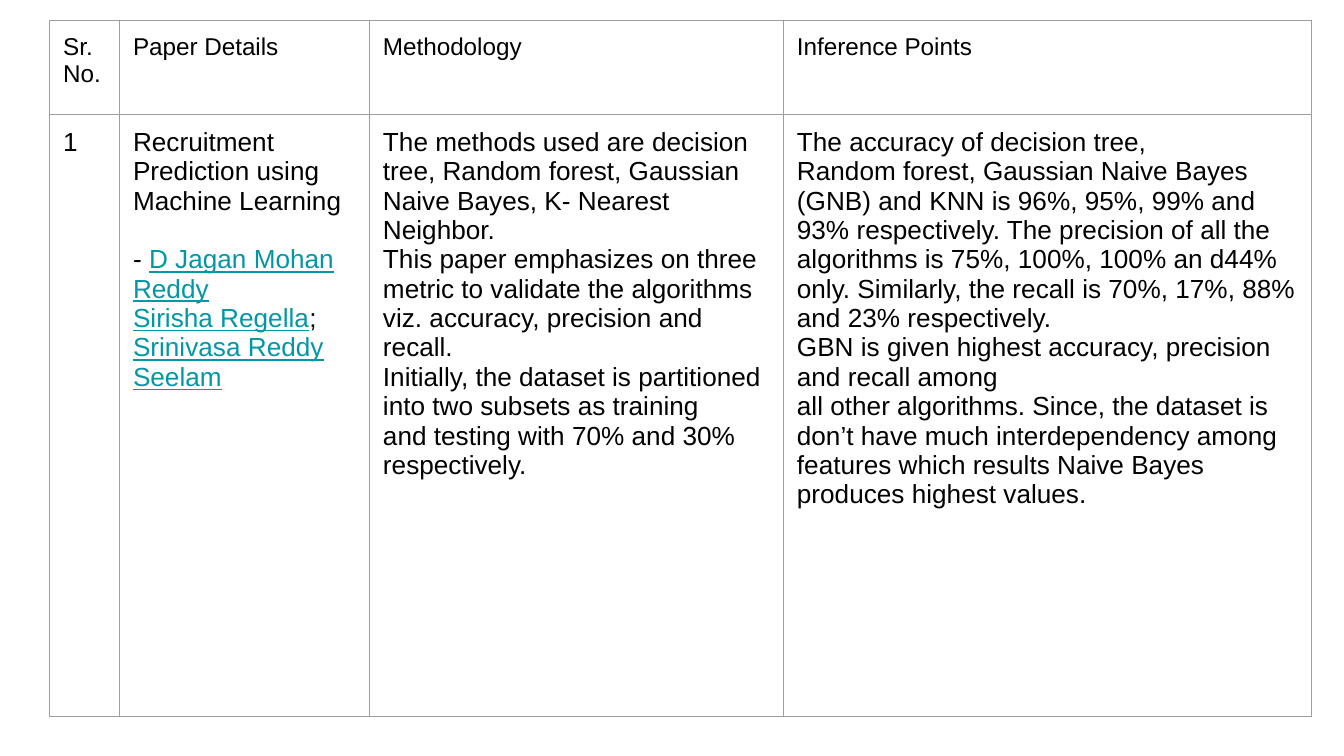
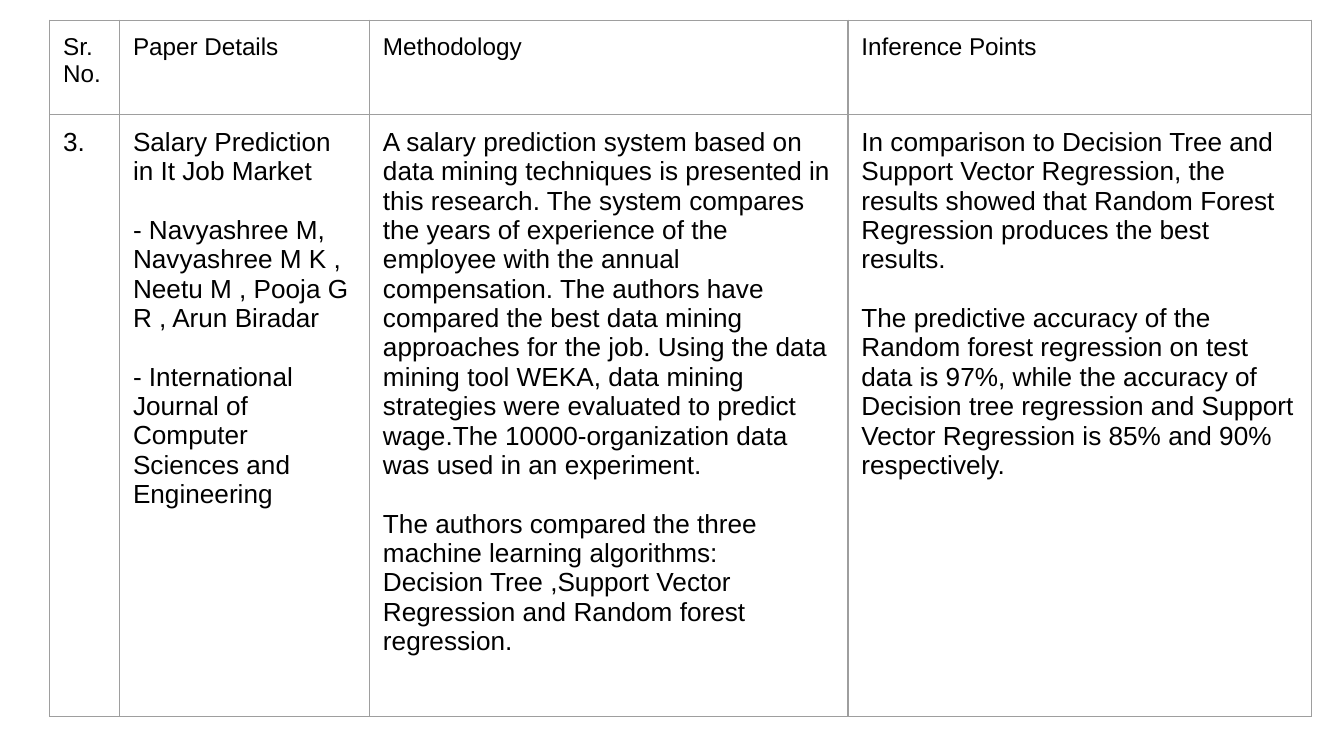
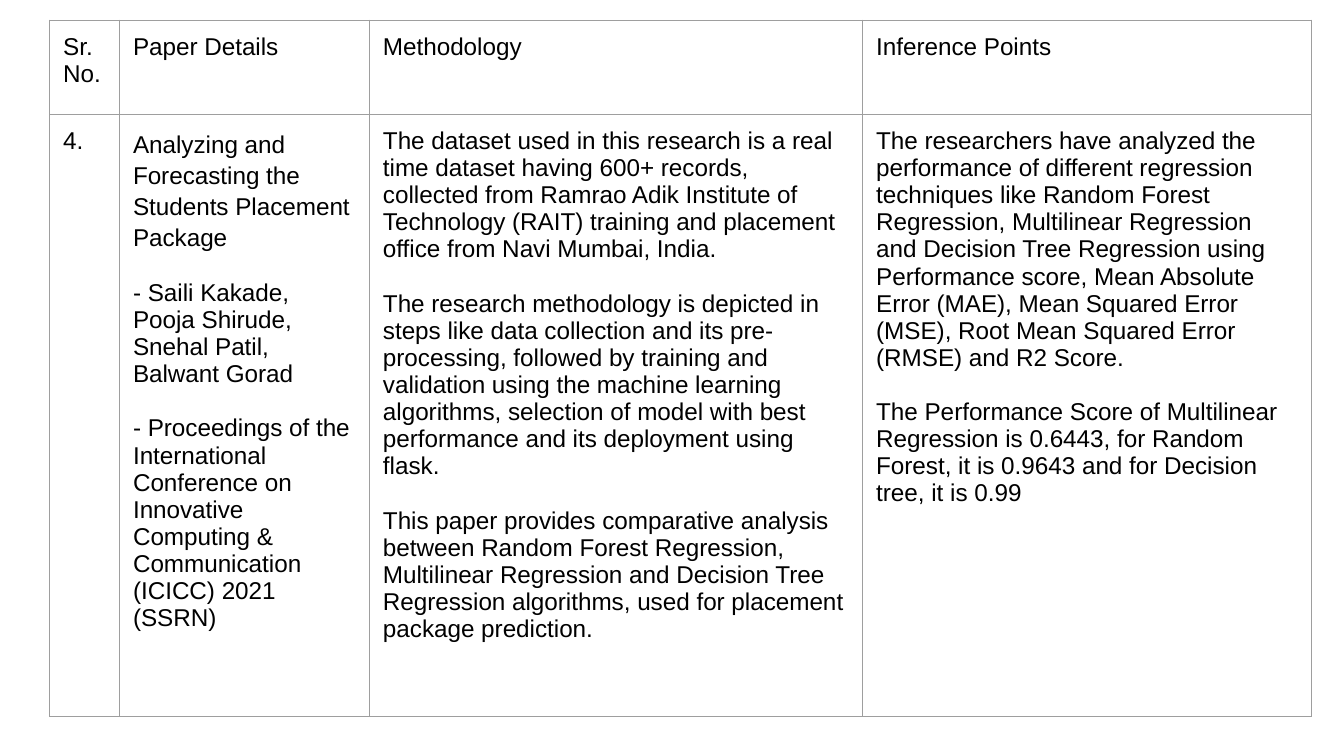
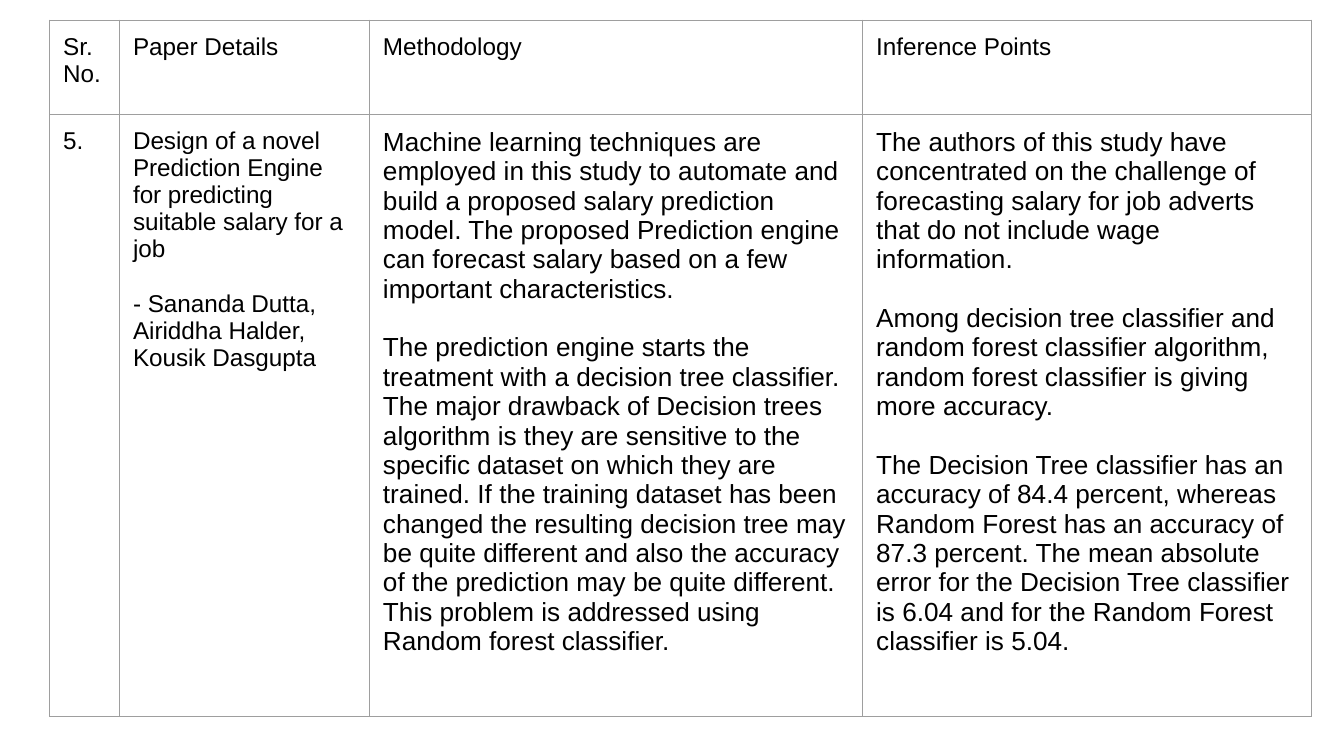
from dataclasses import dataclass

from lxml.etree import SubElement
from pptx import Presentation
from pptx.dml.color import RGBColor
from pptx.enum.text import MSO_ANCHOR
from pptx.oxml.ns import qn
from pptx.util import Inches, Pt

# Slide size, 16:9
SLIDE_WIDTH = Inches(10)
SLIDE_HEIGHT = SLIDE_WIDTH * 9 // 16

# Shared look
FONT = "Arial"
INK = RGBColor(0x00, 0x00, 0x00)
AUTHOR_TEAL = RGBColor(0x00, 0x97, 0xA7)
BORDER_GREY = RGBColor(0x9E, 0x9E, 0x9E)
BORDER_WIDTH = Pt(0.75)
BORDER_SIDES = ("a:lnL", "a:lnR", "a:lnT", "a:lnB")

# Shared table geometry
TABLE_LEFT, TABLE_TOP = Inches(0.37), Inches(0.15)
NUMBER_WIDTH, DETAILS_WIDTH = 0.52, 1.86
TEXT_WIDTH = 7.01  # methodology and inference columns together
ROW_HEIGHTS = (0.7, 4.48)
MARGIN = Inches(0.1)

HEADINGS = ("Sr. No.", "Paper Details", "Methodology", "Inference Points")
HEADING_SIZE = 13
BLANK_LINE = 1.12  # height of an empty line, as a multiple of the text size

CELL_FORMAT = {
    "margin_left": MARGIN,
    "margin_right": MARGIN,
    "margin_top": MARGIN,
    "margin_bottom": MARGIN,
    "vertical_anchor": MSO_ANCHOR.TOP,
}
TABLE_FORMAT = {"first_row": False, "horz_banding": False}


@dataclass(frozen=True)
class Run:
    text: str
    is_author: bool = False


@dataclass(frozen=True)
class Para:
    runs: tuple[Run, ...]
    gap: bool = False
    line_spacing: float | None = None


@dataclass(frozen=True)
class CellText:
    size: int
    paras: tuple[Para, ...]


@dataclass(frozen=True)
class Paper:
    methodology_width: float
    number: CellText
    details: CellText
    methodology: CellText
    inference: CellText


def line(text: str, line_spacing: float | None = None) -> Para:
    return Para((Run(text),), line_spacing=line_spacing)


def spaced(text: str) -> Para:
    """A paragraph set one line below the previous one."""
    return Para((Run(text),), gap=True)


def cell_text(size: int, *paras: Para) -> CellText:
    return CellText(size, paras)


# Surveyed papers
PAPERS = (
    Paper(
        3.08,
        cell_text(14, line("1")),
        cell_text(
            14,
            line("Recruitment Prediction using Machine Learning"),
            Para((Run("- "), Run("D Jagan Mohan Reddy", True)), gap=True),
            Para((Run("Sirisha Regella", True), Run("; "),
                  Run("Srinivasa Reddy Seelam", True))),
        ),
        cell_text(
            14,
            line("The methods used are decision tree, Random forest, Gaussian "
                 "Naive Bayes, K- Nearest Neighbor."),
            line("This paper emphasizes on three metric to validate the "
                 "algorithms viz. accuracy, precision and recall."),
            line("Initially, the dataset is partitioned into two subsets as training"),
            line("and testing with 70% and 30% respectively."),
        ),
        cell_text(
            14,
            line("The accuracy of decision tree,"),
            line("Random forest, Gaussian Naive Bayes (GNB) and KNN is 96%, 95%, "
                 "99% and 93% respectively. The precision of all the algorithms "
                 "is 75%, 100%, 100% an d44% only. Similarly, the recall is 70%, "
                 "17%, 88% and 23% respectively."),
            line("GBN is given highest accuracy, precision and recall among"),
            line("all other algorithms. Since, the dataset is don’t have much "
                 "interdependency among features which results Naive Bayes"),
            line("produces highest values."),
        ),
    ),
    Paper(
        3.56,
        cell_text(14, line("3.")),
        cell_text(
            14,
            line("Salary Prediction in It Job Market"),
            spaced("- Navyashree M, Navyashree M K , Neetu M , Pooja G R , Arun Biradar"),
            spaced("- International Journal of Computer Sciences and Engineering"),
        ),
        cell_text(
            14,
            line("A salary prediction system based on data mining techniques is "
                 "presented in this research. The system compares the years of "
                 "experience of the employee with the annual compensation. The "
                 "authors have compared the best data mining approaches for the "
                 "job. Using the data mining tool WEKA, data mining strategies "
                 "were evaluated to predict wage.The 10000-organization data was "
                 "used in an experiment."),
            spaced("The authors compared the three machine learning algorithms:"),
            line("Decision Tree ,Support Vector Regression and Random forest regression."),
        ),
        cell_text(
            14,
            line("In comparison to Decision Tree and Support Vector Regression, "
                 "the results showed that Random Forest Regression produces the "
                 "best results."),
            spaced("The predictive accuracy of the Random forest regression on "
                   "test data is 97%, while the accuracy of Decision tree "
                   "regression and Support Vector Regression is 85% and 90% "
                   "respectively."),
        ),
    ),
    Paper(
        3.67,
        cell_text(13, line("4.")),
        cell_text(
            13,
            line("Analyzing and Forecasting the Students Placement Package", 1.15),
            spaced("- Saili Kakade, Pooja Shirude, Snehal Patil, Balwant Gorad"),
            spaced("- Proceedings of the International Conference on Innovative "
                   "Computing & Communication (ICICC) 2021"),
            line("(SSRN)"),
        ),
        cell_text(
            13,
            line("The dataset used in this research is a real time dataset having "
                 "600+ records, collected from Ramrao Adik Institute of Technology "
                 "(RAIT) training and placement office from Navi Mumbai, India."),
            spaced("The research methodology is depicted in steps like data "
                   "collection and its pre-processing, followed by training and "
                   "validation using the machine learning algorithms, selection "
                   "of model with best performance and its deployment using flask."),
            spaced("This paper provides comparative analysis between Random Forest "
                   "Regression, Multilinear Regression and Decision Tree Regression "
                   "algorithms, used for placement package prediction."),
        ),
        cell_text(
            13,
            line("The researchers have analyzed the performance of different "
                 "regression techniques like Random Forest Regression, Multilinear "
                 "Regression and Decision Tree Regression using Performance score, "
                 "Mean Absolute Error (MAE), Mean Squared Error (MSE), Root Mean "
                 "Squared Error (RMSE) and R2 Score."),
            spaced("The Performance Score of Multilinear Regression is 0.6443, for "
                   "Random Forest, it is 0.9643 and for Decision tree, it is 0.99"),
        ),
    ),
    Paper(
        3.67,
        cell_text(13, line("5.")),
        cell_text(
            13,
            line("Design of a novel Prediction Engine for predicting suitable "
                 "salary for a job"),
            spaced("- Sananda Dutta, Airiddha Halder, Kousik Dasgupta"),
        ),
        cell_text(
            14,
            line("Machine learning techniques are employed in this study to "
                 "automate and build a proposed salary prediction model. The "
                 "proposed Prediction engine can forecast salary based on a few "
                 "important characteristics."),
            spaced("The prediction engine starts the treatment with a decision "
                   "tree classifier. The major drawback of Decision trees algorithm "
                   "is they are sensitive to the specific dataset on which they are "
                   "trained. If the training dataset has been changed the resulting "
                   "decision tree may be quite different and also the accuracy of "
                   "the prediction may be quite different. This problem is "
                   "addressed using Random forest classifier."),
        ),
        cell_text(
            14,
            line("The authors of this study have concentrated on the challenge of "
                 "forecasting salary for job adverts that do not include wage "
                 "information."),
            spaced("Among decision tree classifier and random forest classifier "
                   "algorithm, random forest classifier is giving more accuracy."),
            spaced("The Decision Tree classifier has an accuracy of 84.4 percent, "
                   "whereas Random Forest has an accuracy of 87.3 percent. The mean "
                   "absolute error for the Decision Tree classifier is 6.04 and for "
                   "the Random Forest classifier is 5.04."),
        ),
    ),
)


def apply_format(target, values: dict) -> None:
    for attribute, value in values.items():
        setattr(target, attribute, value)


def add_borders(cell) -> None:
    properties = cell._tc.get_or_add_tcPr()
    for side in BORDER_SIDES:
        border = SubElement(properties, qn(side), w=str(int(BORDER_WIDTH)))
        fill = SubElement(border, qn("a:solidFill"))
        SubElement(fill, qn("a:srgbClr"), val=str(BORDER_GREY))


def write_cell(cell, content: CellText) -> None:
    apply_format(cell, CELL_FORMAT)
    add_borders(cell)
    cell.fill.background()
    frame = cell.text_frame
    for index, para in enumerate(content.paras):
        paragraph = frame.add_paragraph() if index else frame.paragraphs[0]
        if para.gap:
            paragraph.space_before = Pt(round(content.size * BLANK_LINE, 1))
        if para.line_spacing:
            paragraph.line_spacing = para.line_spacing
        for part in para.runs:
            run = paragraph.add_run()
            run.text = part.text
            apply_format(run.font, {
                "name": FONT,
                "size": Pt(content.size),
                "bold": False,
                "underline": part.is_author,
            })
            run.font.color.rgb = AUTHOR_TEAL if part.is_author else INK


def add_paper_slide(prs, paper: Paper) -> None:
    slide = prs.slides.add_slide(prs.slide_layouts[6])
    widths = (NUMBER_WIDTH, DETAILS_WIDTH, paper.methodology_width,
              TEXT_WIDTH - paper.methodology_width)
    table = slide.shapes.add_table(
        len(ROW_HEIGHTS), len(HEADINGS), TABLE_LEFT, TABLE_TOP,
        Inches(sum(widths)), Inches(sum(ROW_HEIGHTS))).table
    apply_format(table, TABLE_FORMAT)
    for column, width in zip(table.columns, widths):
        column.width = Inches(width)
    for row, height in zip(table.rows, ROW_HEIGHTS):
        row.height = Inches(height)

    # Heading row, then the paper itself
    headings = [cell_text(HEADING_SIZE, line(heading)) for heading in HEADINGS]
    findings = (paper.number, paper.details, paper.methodology, paper.inference)
    for row, contents in zip(table.rows, (headings, findings)):
        for cell, content in zip(row.cells, contents):
            write_cell(cell, content)


def main() -> None:
    prs = Presentation()
    prs.slide_width, prs.slide_height = SLIDE_WIDTH, SLIDE_HEIGHT
    for paper in PAPERS:
        add_paper_slide(prs, paper)
    prs.save("out.pptx")


if __name__ == "__main__":
    main()
